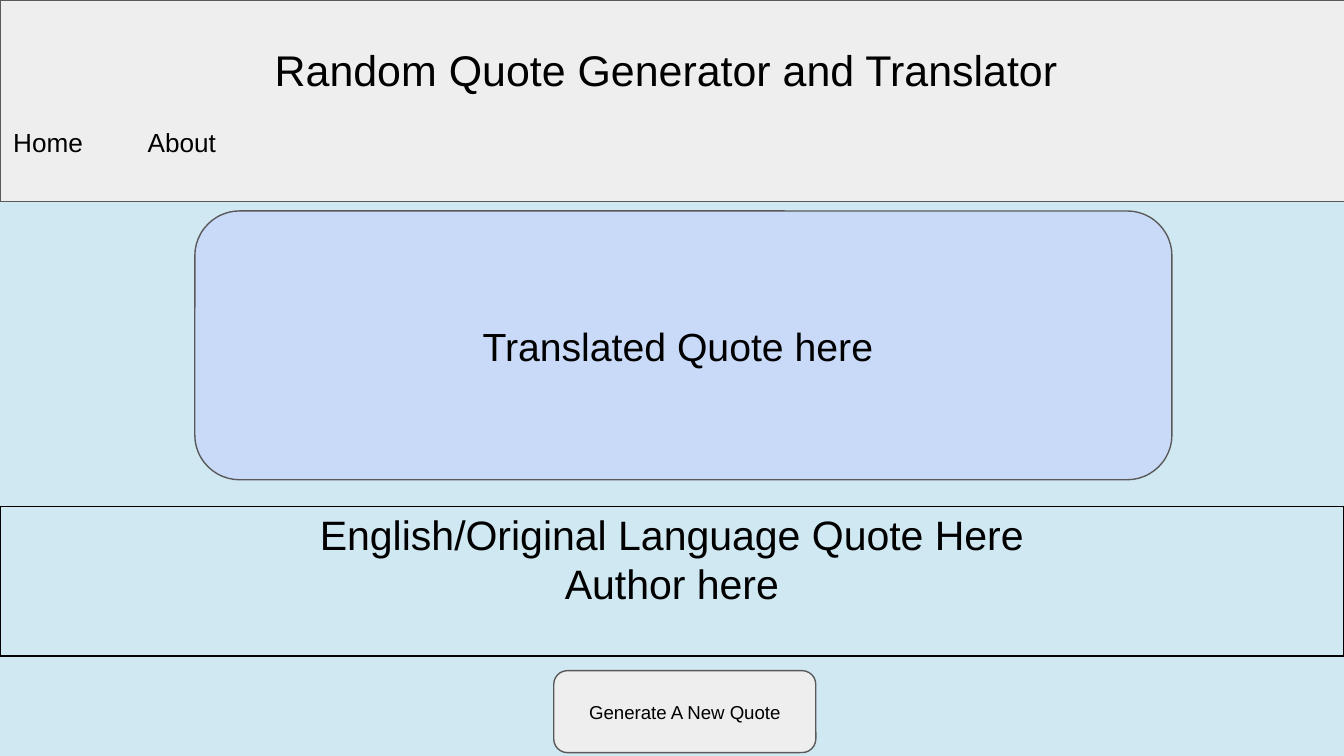
from dataclasses import dataclass

from pptx import Presentation
from pptx import util as u
from pptx.dml.color import RGBColor
from pptx.enum import shapes, text


@dataclass(frozen=True)
class Theme:
    """Colours, font and type sizes of the slide."""
    font: str = "Arial"
    page: str = "D0E8F2"
    panel: str = "EEEEEE"
    quote: str = "C9DAF8"
    outline: str = "595959"
    ink: str = "000000"
    title_size: int = 23
    translated_size: int = 21
    source_size: int = 22
    menu_size: int = 14
    button_size: int = 10


THEME = Theme()
KIND = shapes.MSO_SHAPE
CENTER, LEFT = text.PP_ALIGN.CENTER, text.PP_ALIGN.LEFT


def add_box(s, kind, box, fill, line=THEME.outline):
    """Add an outlined shape and return its text frame."""
    sp = s.shapes.add_shape(kind, *map(u.Inches, box))
    sp.shadow.inherit = False
    sp.fill.solid()
    sp.fill.fore_color.rgb = RGBColor.from_string(fill)
    sp.line.color.rgb = RGBColor.from_string(line)
    sp.line.width = u.Pt(0.75)
    tf = sp.text_frame
    tf.word_wrap = True
    tf.vertical_anchor = text.MSO_ANCHOR.MIDDLE
    tf.margin_left = tf.margin_right = u.Inches(0.1)
    tf.margin_top = tf.margin_bottom = u.Inches(0.1)
    return tf


def add_line(tf, words, size, align=CENTER, before=0):
    """Write one paragraph, using the frame's first one if it is empty."""
    p = tf.paragraphs[0] if not tf.text else tf.add_paragraph()
    p.alignment = align
    p.space_before = u.Pt(before)
    r = p.add_run()
    r.text = words
    r.font.name = THEME.font
    r.font.size = u.Pt(size)
    r.font.color.rgb = RGBColor.from_string(THEME.ink)


def add_header(s):
    """Add the title bar with its menu."""
    tf = add_box(s, KIND.RECTANGLE, (0, 0, 10.01, 1.5), THEME.panel)
    add_line(tf, "Random Quote Generator and Translator ", THEME.title_size)
    add_line(tf, "Home \tAbout", THEME.menu_size, LEFT, before=17)


def add_source_quote(s):
    """Add the band with the untranslated quote and its author."""
    tf = add_box(s, KIND.FLOWCHART_PROCESS, (0, 3.77, 10, 1.11), THEME.page, THEME.ink)
    tf.vertical_anchor = text.MSO_ANCHOR.TOP
    tf.margin_top = u.Inches(0.02)
    for words in ("English/Original Language Quote Here", "Author here"):
        add_line(tf, words, THEME.source_size)


def main():
    """Build the slide and save it."""
    prs = Presentation()
    prs.slide_width = u.Inches(10)
    prs.slide_height = prs.slide_width * 9 // 16
    s = prs.slides.add_slide(prs.slide_layouts[6])
    s.background.fill.solid()
    s.background.fill.fore_color.rgb = RGBColor.from_string(THEME.page)

    add_header(s)
    tf = add_box(s, KIND.ROUNDED_RECTANGLE, (1.45, 1.57, 7.27, 2), THEME.quote)
    add_line(tf, "Translated Quote here ", THEME.translated_size)
    add_source_quote(s)
    tf = add_box(s, KIND.ROUNDED_RECTANGLE, (4.12, 4.99, 1.95, 0.61), THEME.panel)
    add_line(tf, "Generate A New Quote", THEME.button_size)

    prs.save("out.pptx")


if __name__ == "__main__":
    main()
